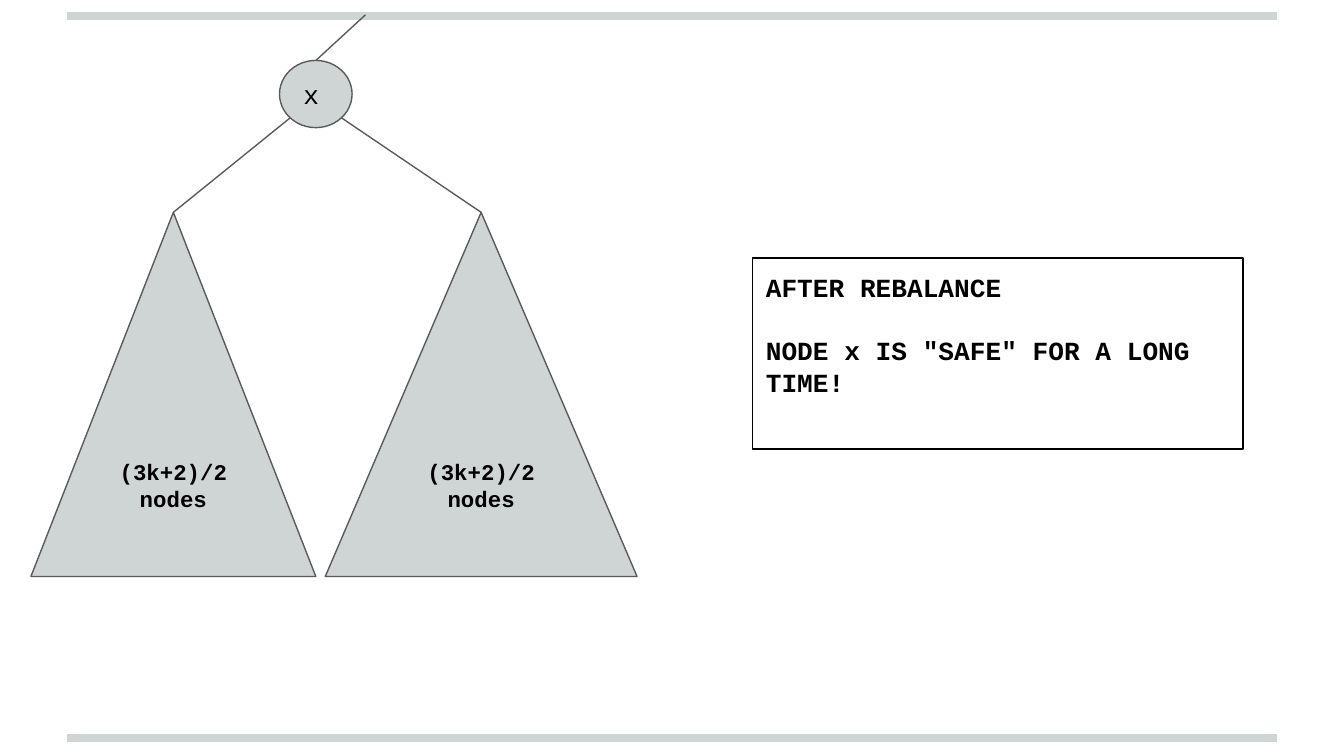
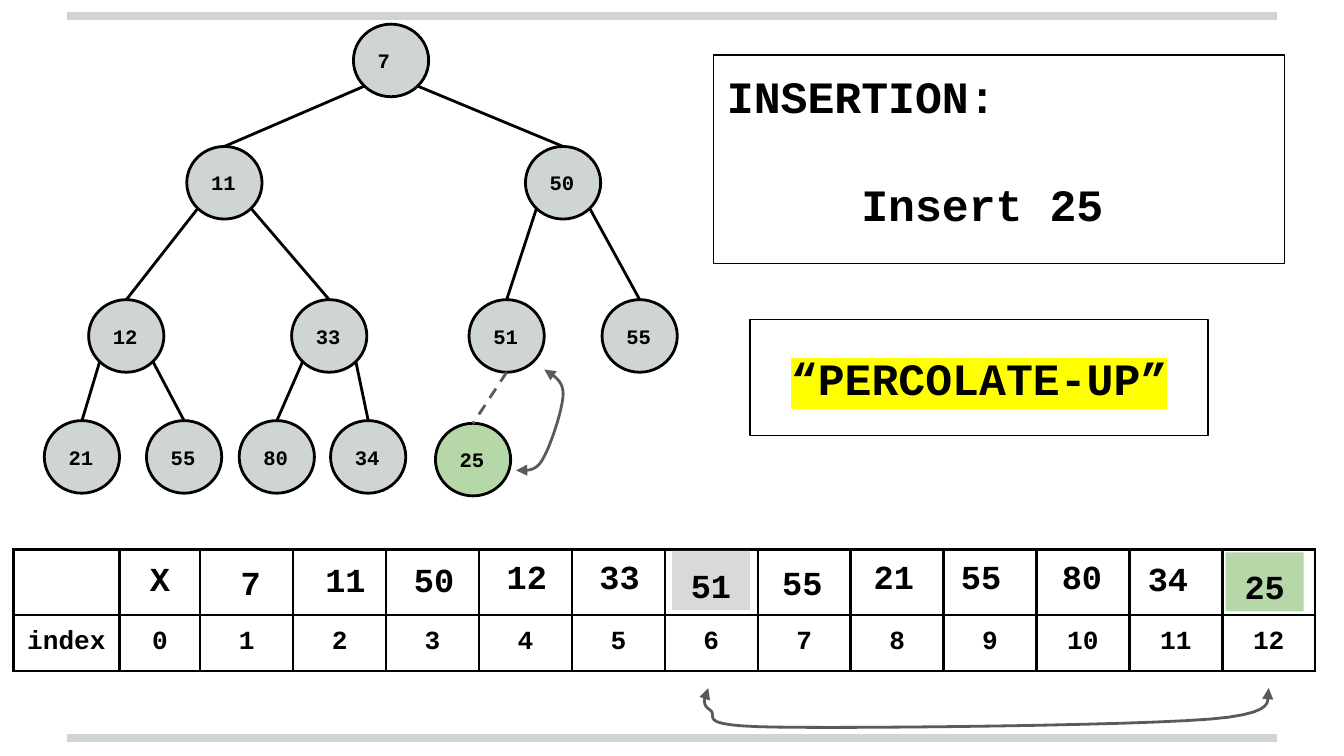
from math import sqrt

from lxml.etree import SubElement
from pptx import Presentation
from pptx.dml.color import RGBColor
from pptx.enum.dml import MSO_LINE
from pptx.enum.shapes import MSO_CONNECTOR, MSO_SHAPE
from pptx.enum.text import MSO_ANCHOR, PP_ALIGN
from pptx.oxml.ns import qn
from pptx.util import Inches, Pt

BLACK = RGBColor(0x00, 0x00, 0x00)
MIST = RGBColor(0xCF, 0xD4, 0xD4)
SLATE = RGBColor(0x5B, 0x59, 0x5A)
GREEN = RGBColor(0xB6, 0xD7, 0xA8)
GRAY = RGBColor(0xD9, 0xD9, 0xD9)
YELLOW = RGBColor(0xFF, 0xFF, 0x00)
FONT = "Courier New"
NODE_W, NODE_H = 0.56, 0.54

HEAP = [7, 11, 50, 12, 33, 51, 55, 21, 55, 80, 34]
NODE_LEFTS = [2.63, 1.39, 3.91, 0.66, 2.17, 3.49, 4.48, 0.33, 1.09, 1.78, 2.46]
LEVEL_TOPS = [0.18, 1.09, 2.23, 3.13]
VALUE_SPOTS = [(1.65, 4.08), (2.28, 4.06), (2.94, 4.06), (3.63, 4.04),
               (4.32, 4.04), (5, 4.1), (5.68, 4.08), (6.36, 4.04),
               (7.01, 4.04), (7.76, 4.04), (8.4, 4.05), (9.12, 4.11)]
SWAP_NODES = [(4.05, 2.75), (4.08, 2.78), (4.19, 2.81), (4.19, 2.93),
              (4.19, 3.04), (4.09, 3.34), (4.03, 3.43),
              (3.97, 3.53), (3.87, 3.49), (3.84, 3.5)]
SWAP_CELLS = [(5.27, 5.12), (5.27, 5.15), (5.2, 5.23), (5.28, 5.28),
              (5.36, 5.33), (5.14, 5.4), (5.76, 5.41),
              (6.38, 5.42), (8.4, 5.4), (9.01, 5.35),
              (9.62, 5.3), (9.37, 5.16), (9.44, 5.12)]


def add_run(p, text, size=14, bold=True, highlight=None):
    """Add a formatted run to a paragraph."""
    r = p.add_run()
    r.text = text
    r.font.size = Pt(size)
    r.font.bold = bold
    r.font.color.rgb = BLACK
    if highlight:
        mark = SubElement(r._r.get_or_add_rPr(), qn("a:highlight"))
        SubElement(mark, qn("a:srgbClr")).set("val", str(highlight))
    r.font.name = FONT


def add_text(tf, text, align=PP_ALIGN.LEFT, anchor=MSO_ANCHOR.TOP, gap=0, indent=0,
             **style):
    """Write text into a frame, one paragraph per line, gap and indent after the first."""
    tf.word_wrap = True
    tf.vertical_anchor = anchor
    tf.margin_left = tf.margin_right = tf.margin_top = tf.margin_bottom = Inches(0.1)
    for i, line in enumerate(text.split("\n")):
        p = tf.add_paragraph() if i else tf.paragraphs[0]
        p.alignment = align
        if i:
            p.space_before = Pt(gap)
            p._p.get_or_add_pPr().set("marL", str(Inches(indent)))
        add_run(p, line, **style)


def add_box(s, kind, left, top, width, height, text, fill=None, line=None,
            weight=0.75, **style):
    """Add a preset shape with its text."""
    sp = s.shapes.add_shape(kind, Inches(left), Inches(top), Inches(width), Inches(height))
    sp.shadow.inherit = False
    if fill:
        sp.fill.solid()
        sp.fill.fore_color.rgb = fill
    else:
        sp.fill.background()
    if line:
        sp.line.color.rgb = line
        sp.line.width = Pt(weight)
    else:
        sp.line.fill.background()
    add_text(sp.text_frame, text, **style)


def add_line(s, start, end, color=BLACK, weight=1.5, dash=None):
    """Add a straight line between two points."""
    line = s.shapes.add_connector(MSO_CONNECTOR.STRAIGHT,
                                  *(Inches(v) for v in (*start, *end)))
    line.line.color.rgb = color
    line.line.width = Pt(weight)
    if dash:
        line.line.dash_style = dash
    SubElement(line.element.spPr, qn("a:effectLst"))
    return line


def bezier(a, b, c, d, steps=12):
    """Return points along a cubic curve, without its start."""
    points = []
    for i in range(1, steps + 1):
        t = i / steps
        weights = ((1 - t) ** 3, 3 * t * (1 - t) ** 2, 3 * t * t * (1 - t), t ** 3)
        points.append(tuple(Inches(sum(w * v for w, v in zip(weights, axis)))
                            for axis in zip(a, b, c, d)))
    return points


def add_swap_arrow(s, controls):
    """Add a curved double-headed arrow through cubic control points."""
    builder = s.shapes.build_freeform(*(Inches(v) for v in controls[0]))
    for i in range(0, len(controls) - 1, 3):
        builder.add_line_segments(bezier(*controls[i:i + 4]), close=False)
    sp = builder.convert_to_shape()
    sp.shadow.inherit = False
    sp.fill.background()
    sp.line.color.rgb = SLATE
    sp.line.width = Pt(1.5)
    ln = sp.element.spPr.find(qn("a:ln"))
    for end in ("a:headEnd", "a:tailEnd"):
        SubElement(ln, qn(end)).set("type", "triangle")


def lower_point(left, top, width, height, side):
    """Return the point 45 degrees below the centre, side -1 left or 1 right."""
    reach = 1 / sqrt(2)
    return left + width / 2 * (1 + side * reach), top + height / 2 * (1 + reach)


def add_node(s, value, left, top, fill=MIST):
    """Add a heap node."""
    add_box(s, MSO_SHAPE.OVAL, left, top, NODE_W, NODE_H, str(value), fill=fill,
            line=BLACK, weight=1.5, size=11, anchor=MSO_ANCHOR.MIDDLE)


def add_heap(s):
    """Draw the binary heap, linking each node to its parent."""
    spots = [(left, LEVEL_TOPS[(i + 1).bit_length() - 1])
             for i, left in enumerate(NODE_LEFTS)]
    for i, (value, (left, top)) in enumerate(zip(HEAP, spots)):
        add_node(s, value, left, top)
        if i:
            start = lower_point(*spots[(i - 1) // 2], NODE_W, NODE_H, -1 if i % 2 else 1)
            add_line(s, start, (left + NODE_W / 2, top))


def set_borders(cell):
    """Give a cell black borders on all sides."""
    tcPr = cell._tc.get_or_add_tcPr()
    for side in ("a:lnL", "a:lnR", "a:lnT", "a:lnB"):
        ln = SubElement(tcPr, qn(side), w=str(Pt(1.5)))
        SubElement(SubElement(ln, qn("a:solidFill")), qn("a:srgbClr")).set("val", str(BLACK))


def add_index_table(s):
    """Add the array table with its index row."""
    widths = [0.79, 0.6] + [8.3 / 12] * 12
    rows = [["", "X"] + [""] * 12, ["index"] + [str(i) for i in range(13)]]
    table = s.shapes.add_table(2, len(widths), Inches(0.1), Inches(4.09),
                               Inches(sum(widths)), Inches(0.85)).table
    table.first_row = table.horz_banding = False
    for column, width in zip(table.columns, widths):
        column.width = Inches(width)
    for r, (row, height, size) in enumerate(zip(rows, (0.43, 0.42), (18, 14))):
        table.rows[r].height = Inches(height)
        for c, text in enumerate(row):
            cell = table.cell(r, c)
            set_borders(cell)
            cell.fill.background()
            inset = Inches(0.1 if text else 0)
            cell.margin_left = cell.margin_right = inset
            cell.margin_top = cell.margin_bottom = inset
            if text:
                p = cell.text_frame.paragraphs[0]
                p.alignment = PP_ALIGN.CENTER
                add_run(p, text, size=size)


def add_values(s):
    """Place the array values over the table, the swapped pair shaded."""
    fills = {51: GRAY, 25: GREEN}
    style = dict(size=18, align=PP_ALIGN.CENTER)
    for value, (left, top) in zip(HEAP + [25], VALUE_SPOTS):
        text = str(value)
        width = 0.28 + 0.15 * len(text)
        if value in fills:
            add_box(s, MSO_SHAPE.RECTANGLE, left, top, width, 0.44, text,
                    fill=fills[value], **style)
        else:
            box = s.shapes.add_textbox(Inches(left), Inches(top), Inches(width), Inches(0.44))
            add_text(box.text_frame, text, **style)


def add_bands(s):
    """Draw the top and bottom bands and move them to the slide's layout."""
    for y in (5.49, 0.12):
        band = add_line(s, (0.5, y), (9.5, y), color=MIST, weight=4)
        s.slide_layout.shapes.element.append(band.element)


def build_rebalance(s):
    """Build the slide with the balanced subtrees."""
    root = (2.08, 0.45, 0.54, 0.5)
    add_box(s, MSO_SHAPE.OVAL, *root, "x", fill=MIST, line=SLATE, bold=False,
            anchor=MSO_ANCHOR.MIDDLE)
    for left, width, side in ((0.23, 2.12, -1), (2.42, 2.32, 1)):
        add_box(s, MSO_SHAPE.ISOSCELES_TRIANGLE, left, 1.58, width, 2.71,
                "(3k+2)/2 nodes", fill=MIST, line=SLATE, size=12,
                align=PP_ALIGN.CENTER, anchor=MSO_ANCHOR.MIDDLE)
        add_line(s, lower_point(*root, side), (left + width / 2, 1.58), SLATE, 0.75)
    add_line(s, (2.35, 0.45), (2.72, 0.11), SLATE, 0.75)
    add_box(s, MSO_SHAPE.RECTANGLE, 5.6, 1.92, 3.65, 1.42,
            'AFTER REBALANCE\nNODE x IS "SAFE" FOR A LONG TIME!', line=BLACK, gap=17)


def build_insertion(s):
    """Build the slide that inserts 25 into the heap."""
    add_heap(s)
    add_index_table(s)
    add_values(s)
    add_box(s, MSO_SHAPE.RECTANGLE, 5.31, 0.41, 4.25, 1.55, "INSERTION:\nInsert 25",
            line=BLACK, size=24, gap=29, indent=1)
    add_node(s, 25, 3.24, 3.15, fill=GREEN)
    add_line(s, (3.77, 2.77), (3.52, 3.15), SLATE, dash=MSO_LINE.DASH)
    add_box(s, MSO_SHAPE.RECTANGLE, 5.58, 2.38, 3.41, 0.86, "“PERCOLATE-UP”",
            line=BLACK, size=24, align=PP_ALIGN.CENTER, anchor=MSO_ANCHOR.MIDDLE,
            highlight=YELLOW)
    add_swap_arrow(s, SWAP_NODES)
    add_swap_arrow(s, SWAP_CELLS)


def main():
    """Build and save the presentation."""
    prs = Presentation()
    prs.slide_width = Inches(10)
    prs.slide_height = prs.slide_width * 9 // 16
    layout = prs.slide_layouts[6]
    rebalance, insertion = (prs.slides.add_slide(layout) for _ in range(2))
    add_bands(rebalance)
    build_rebalance(rebalance)
    build_insertion(insertion)
    prs.save("out.pptx")


if __name__ == "__main__":
    main()
